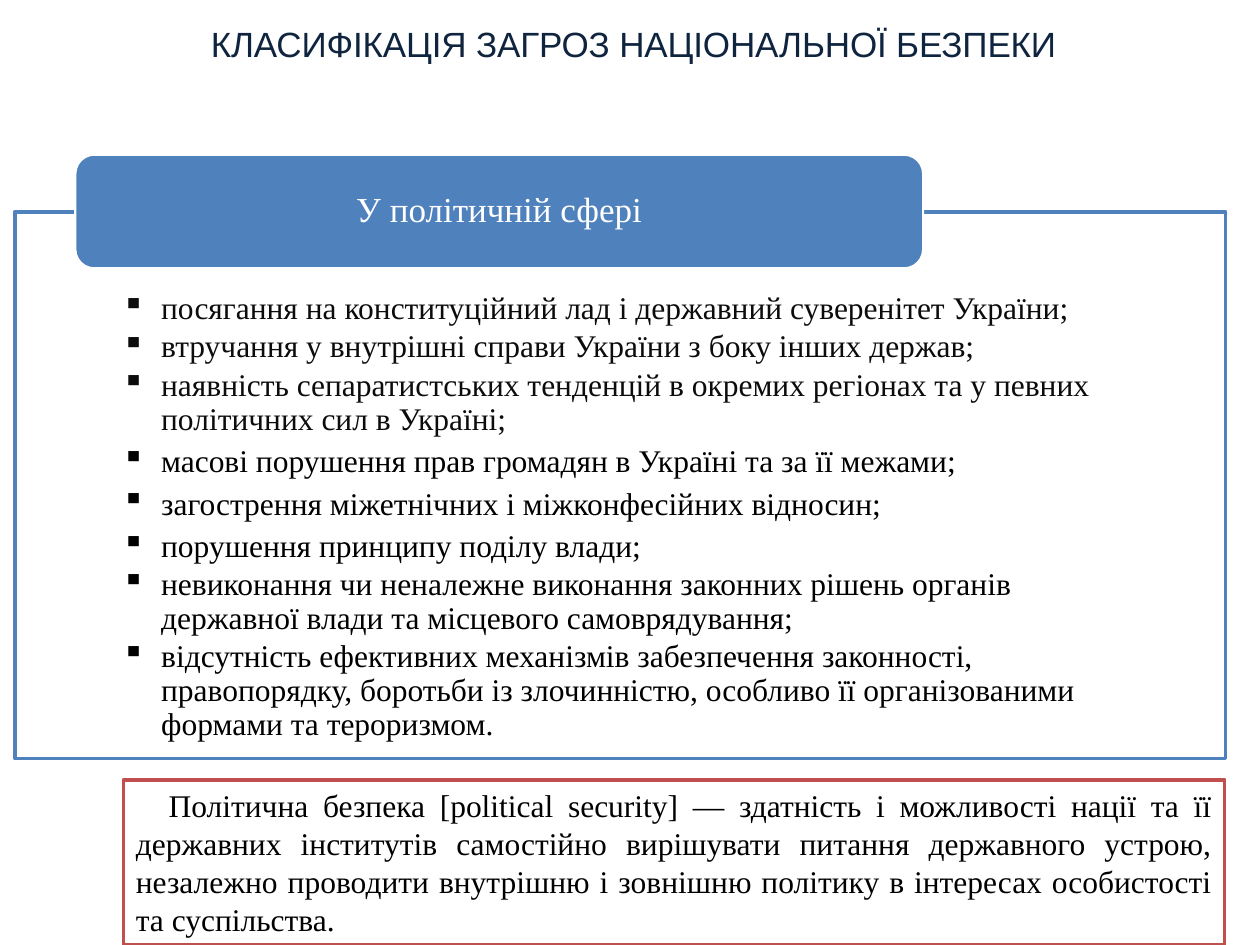
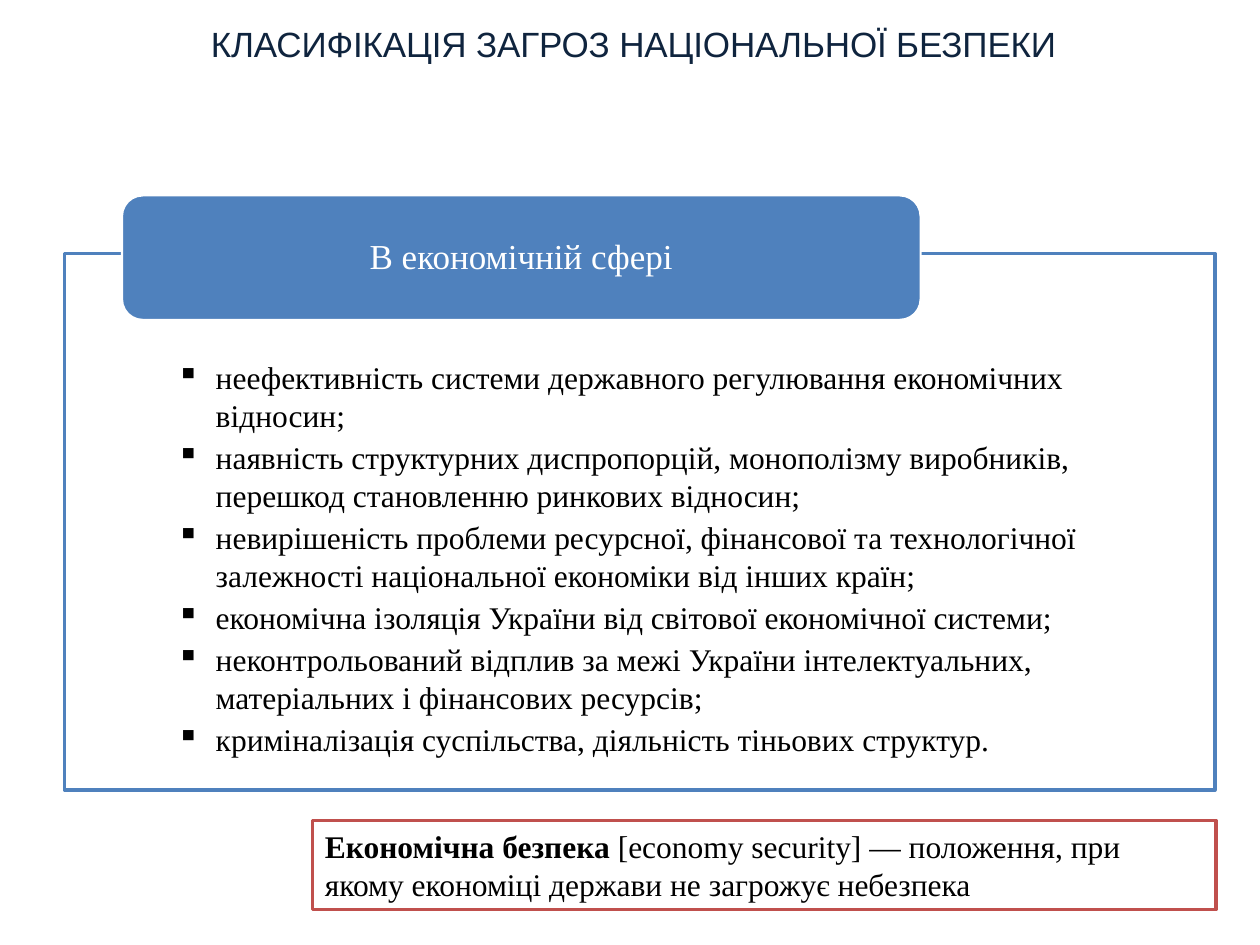
from dataclasses import dataclass

from lxml import etree
from pptx import Presentation
from pptx.dml.color import RGBColor
from pptx.enum.shapes import MSO_SHAPE
from pptx.enum.text import MSO_ANCHOR, MSO_AUTO_SIZE, PP_ALIGN
from pptx.oxml.ns import qn
from pptx.util import Cm, Pt

RECT, ROUND = MSO_SHAPE.RECTANGLE, MSO_SHAPE.ROUNDED_RECTANGLE
TOP, MID = MSO_ANCHOR.TOP, MSO_ANCHOR.MIDDLE
LEFT, CENTER, JUST = PP_ALIGN.LEFT, PP_ALIGN.CENTER, PP_ALIGN.JUSTIFY
NO_FIT = MSO_AUTO_SIZE.NONE


@dataclass(frozen=True)
class Theme:
    navy: str = "0F243E"
    blue: str = "4F81BD"
    red: str = "C0504D"
    white: str = "FFFFFF"
    black: str = "000000"
    soft: str = "0C0C0C"
    sans: str = "Arial"
    serif: str = "Times New Roman"
    head: int = 20
    body: int = 18
    edge: float = 2
    rim: float = 1.25
    gap: float = 2.5


THEME = Theme()
TITLE = "КЛАСИФІКАЦІЯ ЗАГРОЗ НАЦІОНАЛЬНОЇ БЕЗПЕКИ"
TITLE_BOX = (0.51, 0.33, 24.51, 1.12)
PAD = (0.25, 0.13, 0.25, 0.13)
HANG = 0.79

# Boxes are (left, top, width, height) in cm; a label's left and top
# are measured from the corner of its frame.
SLIDES = [
    {
        "frame": (0.3, 4.27, 24.41, 11.02),
        "label": (1.22, -1.15, 17.09, 2.29),
        "note": (2.49, 15.72, 22.2, 3.33),
        "head": "У політичній сфері",
        "drop": 1.63,
        "indent": HANG,
        "groups": [
            (0.9, THEME.soft, [
                "посягання на конституційний лад і державний суверенітет України;",
                "втручання у внутрішні справи України з боку інших держав;",
                "наявність сепаратистських тенденцій в окремих регіонах та у певних "
                "політичних сил в Україні;",
            ]),
            (1.0, THEME.black, [
                "масові порушення прав громадян в Україні та за її межами;",
                "загострення міжетнічних і міжконфесійних відносин;",
                "порушення принципу поділу влади;",
            ]),
            (0.9, THEME.black, [
                "невиконання чи неналежне виконання законних рішень органів "
                "державної влади та місцевого самоврядування;",
                "відсутність ефективних механізмів забезпечення законності, "
                "правопорядку, боротьби із злочинністю, особливо її "
                "організованими формами та тероризмом.",
            ]),
        ],
        "align": JUST,
        "first": 0.66,
        "runs": [
            ("Політична безпека [political security] — здатність і можливості "
             "нації та її державних інститутів самостійно вирішувати питання "
             "державного устрою, незалежно проводити внутрішню і зовнішню "
             "політику в інтересах особистості та суспільства.", False),
        ],
    },
    {
        "frame": (1.3, 5.11, 23.19, 10.82),
        "label": (1.16, -1.17, 16.1, 2.51),
        "note": (6.3, 16.54, 18.21, 1.8),
        "head": "В економічній сфері",
        "drop": 1.8,
        "indent": 0.89,
        "groups": [
            (1.0, THEME.black, [
                "неефективність системи державного регулювання економічних відносин;",
                "наявність структурних диспропорцій, монополізму виробників, "
                "перешкод становленню ринкових відносин;",
                "невирішеність проблеми ресурсної, фінансової та технологічної "
                "залежності національної економіки від інших країн;",
                "економічна ізоляція України від світової економічної системи;",
                "неконтрольований відплив за межі України інтелектуальних, "
                "матеріальних і фінансових ресурсів;",
                "криміналізація суспільства, діяльність тіньових структур.",
            ]),
        ],
        "align": LEFT,
        "first": 0,
        "runs": [
            ("Економічна безпека ", True),
            ("[economy security] — положення, при якому економіці держави не "
             "загрожує небезпека", False),
        ],
    },
]


def assign(obj, **values):
    for name, value in values.items():
        setattr(obj, name, value)


def place(shape, box):
    names = ("left", "top", "width", "height")
    assign(shape, **{n: Cm(v) for n, v in zip(names, box)})


def setup(shape, pad, anchor):
    """Set insets and anchor; return the text frame."""
    frame = shape.text_frame
    names = ("margin_left", "margin_top", "margin_right", "margin_bottom")
    assign(frame, word_wrap=True, auto_size=NO_FIT, vertical_anchor=anchor,
           **{n: Cm(v) for n, v in zip(names, pad)})
    return frame


def write(para, text, color, size, face=THEME.serif, bold=False):
    run = para.add_run()
    run.text = text
    assign(run.font, name=face, size=Pt(size), bold=bold)
    run.font.color.rgb = RGBColor.from_string(color)


def panel(slide, kind, box, fill, line, width):
    shape = slide.shapes.add_shape(kind, *(Cm(v) for v in box))
    shape.shadow.inherit = False
    shape.fill.solid()
    shape.fill.fore_color.rgb = RGBColor.from_string(fill)
    shape.line.color.rgb = RGBColor.from_string(line)
    shape.line.width = Pt(width)
    return shape


def indent(para, left, first):
    props = para._p.get_or_add_pPr()
    props.set("marL", str(Cm(left)))
    props.set("indent", str(Cm(first)))
    return props


def add_title(slide):
    shape = slide.shapes.title
    place(shape, TITLE_BOX)
    para = setup(shape, PAD, TOP).paragraphs[0]
    para.alignment = CENTER
    write(para, TITLE, THEME.navy, THEME.head, THEME.sans)
    for props in shape.element.iter(qn("a:rPr")):
        props.set("spc", "-10")


def add_list(slide, data):
    shape = panel(slide, RECT, data["frame"], THEME.white, THEME.blue, THEME.edge)
    frame = setup(shape, (2.16, data["drop"], 2.16, 0.33), MID)
    items = [(text, ratio, color) for ratio, color, texts in data["groups"]
             for text in texts]
    for i, (text, ratio, color) in enumerate(items):
        para = frame.add_paragraph() if i else frame.paragraphs[0]
        props = indent(para, data["indent"], -HANG)
        etree.SubElement(props, qn("a:buChar")).set("char", "▪")
        assign(para, alignment=LEFT, line_spacing=ratio,
               space_before=Pt(THEME.gap if i else 0))
        write(para, text, color, THEME.body)


def add_label(slide, data):
    x, y = data["frame"][:2]
    dx, dy, w, h = data["label"]
    shape = panel(slide, ROUND, (x + dx, y + dy, w, h),
                  THEME.blue, THEME.white, THEME.rim)
    para = setup(shape, (0.84, 0, 0.84, 0), MID).paragraphs[0]
    assign(para, alignment=CENTER, line_spacing=0.9)
    write(para, data["head"], THEME.white, THEME.head)


def add_note(slide, data):
    shape = panel(slide, RECT, data["note"], THEME.white, THEME.red, THEME.edge)
    para = setup(shape, PAD, TOP).paragraphs[0]
    para.alignment = data["align"]
    indent(para, 0, data["first"])
    for text, bold in data["runs"]:
        write(para, text, THEME.black, THEME.body, bold=bold)


def main():
    deck = Presentation()
    assign(deck, slide_width=Cm(25.4), slide_height=Cm(19.05))
    for data in SLIDES:
        slide = deck.slides.add_slide(deck.slide_layouts[5])
        add_title(slide)
        for part in (add_list, add_label, add_note):
            part(slide, data)
    deck.save("out.pptx")


if __name__ == "__main__":
    main()
